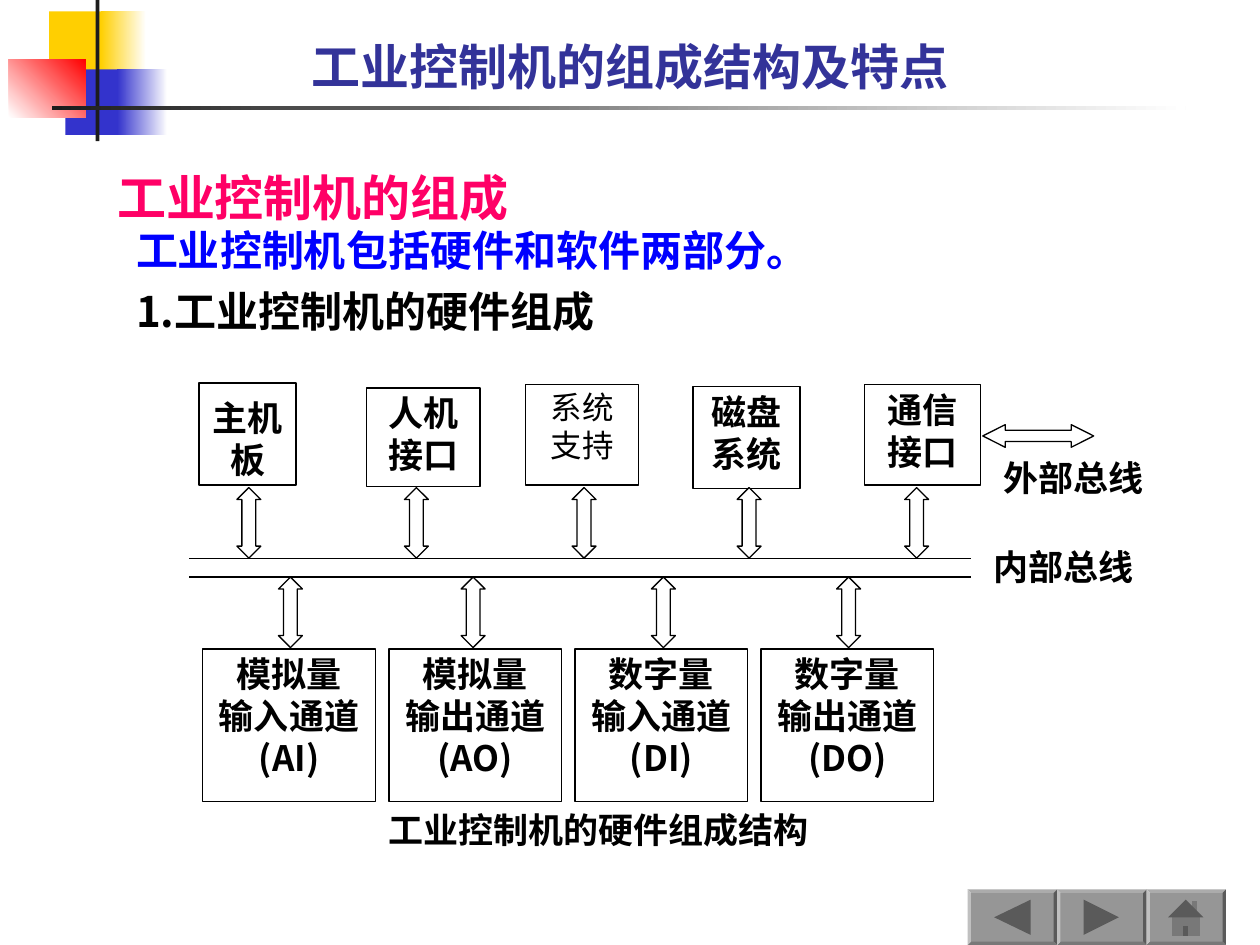
from dataclasses import dataclass

from lxml import etree
from pptx import Presentation
from pptx.dml.color import RGBColor
from pptx.enum.shapes import MSO_CONNECTOR as LINE, MSO_SHAPE as SHAPE
from pptx.enum.text import MSO_ANCHOR, PP_ALIGN as ALIGN
from pptx.oxml.ns import qn
from pptx.util import Inches, Pt


@dataclass(frozen=True)
class Theme:
    font: str = "Noto Sans CJK SC"
    plain_font: str = "Arial"
    ink: str = "000000"
    paper: str = "FFFFFF"
    heading: str = "333399"
    topic: str = "FF0066"
    lead: str = "0000FF"
    yellow: str = "FFCF01"
    blue: str = "3333CC"
    red: str = "FF0000"
    rule: str = "1C1C1C"
    button: str = "969696"
    icon: str = "5A5A5A"
    icon_light: str = "787878"
    title_size: float = 28
    body_size: float = 24
    label_size: float = 20
    plain_size: float = 18
    leading: float = 1.2
    line: float = 0.75


def write(tf, text, *, size, color, font, ea_font, leading, bold=True,
          align=ALIGN.CENTER, before=0, top=0.03):
    tf.word_wrap = True
    tf.vertical_anchor = MSO_ANCHOR.TOP
    tf.margin_left = tf.margin_right = tf.margin_bottom = 0
    tf.margin_top = Inches(top)
    for i, line in enumerate(text.split("\n")):
        p = tf.add_paragraph() if i else tf.paragraphs[0]
        p.alignment = align
        p.line_spacing = Pt(round(size * leading, 1))
        if i and before:
            p.space_before = Pt(before)
        r = p.add_run()
        r.text = line
        r.font.size = Pt(size)
        r.font.bold = bold
        r.font.name = font
        r.font.color.rgb = RGBColor.from_string(color)
        etree.SubElement(r.font._element, qn("a:ea")).set("typeface", ea_font)


class Deck:
    COLS, ROWS = 100, 75

    def __init__(self, theme):
        self.t = theme
        self.prs = Presentation()
        self.prs.slide_width, self.prs.slide_height = Inches(10), Inches(7.5)
        self.s = self.prs.slides.add_slide(self.prs.slide_layouts[6])

    def x(self, cols):
        return round(self.prs.slide_width * cols / self.COLS)

    def y(self, rows):
        return round(self.prs.slide_height * rows / self.ROWS)

    def area(self, x, y, w, h):
        return self.x(x), self.y(y), self.x(w), self.y(h)

    def paint(self, sp, fill, line=None):
        sp.shadow.inherit = False
        sp.fill.solid()
        sp.fill.fore_color.rgb = RGBColor.from_string(fill)
        if line:
            sp.line.color.rgb = RGBColor.from_string(line)
            sp.line.width = Pt(self.t.line)
        else:
            sp.line.fill.background()
        return sp

    def shape(self, kind, at, fill, line=None, adj=()):
        sp = self.s.shapes.add_shape(kind, *self.area(*at))
        for i, value in enumerate(adj):
            sp.adjustments[i] = value
        return self.paint(sp, fill, line)

    def fade(self, at, start, end, angle=0):
        sp = self.shape(SHAPE.RECTANGLE, at, start)
        sp.fill.gradient()
        sp.fill.gradient_angle = angle
        for stop, color in zip(sp.fill.gradient_stops, (start, end)):
            stop.color.rgb = RGBColor.from_string(color)

    def style(self, **changes):
        t = self.t
        return dict(size=t.label_size, color=t.ink, font=t.font,
                    ea_font=t.font, leading=t.leading) | changes

    def box(self, at, text, **fmt):
        sp = self.shape(SHAPE.RECTANGLE, at, self.t.paper, self.t.ink)
        write(sp.text_frame, text, **self.style(**fmt))

    def text(self, at, text, **fmt):
        sp = self.s.shapes.add_textbox(*self.area(*at))
        write(sp.text_frame, text, **self.style(**fmt))

    def arrow(self, kind, at, head):
        self.shape(kind, at, self.t.paper, self.t.ink, (0.5, head))

    def line(self, x1, y1, x2, y2):
        c = self.s.shapes.add_connector(
            LINE.STRAIGHT, self.x(x1), self.y(y1), self.x(x2), self.y(y2))
        c.line.color.rgb = RGBColor.from_string(self.t.ink)
        c.line.width = Pt(self.t.line)
        etree.SubElement(c._element.spPr, qn("a:effectLst"))

    def outline(self, points, fill):
        start, *rest = [(self.x(x), self.y(y)) for x, y in points]
        fb = self.s.shapes.build_freeform(*start)
        fb.add_line_segments(rest, close=True)
        self.paint(fb.convert_to_shape(), fill)

    def button(self, x, w):
        self.shape(SHAPE.BEVEL, (x, 70.6, w, 4.4), self.t.button, adj=(0.06,))


def decorate(d):
    t = d.t
    d.shape(SHAPE.RECTANGLE, (3.9, 0.9, 4.8, 5.2), t.yellow)
    d.fade((8, 0.9, 3.6, 5.2), t.yellow, t.paper)
    d.shape(SHAPE.RECTANGLE, (5.2, 5.5, 4.6, 5.2), t.blue)
    d.fade((9.3, 5.5, 4, 5.2), t.blue, t.paper)
    d.fade((0.7, 4.7, 6.1, 4.6), t.paper, t.red, angle=45)
    d.shape(SHAPE.RECTANGLE, (7.6, 0, 0.3, 11.2), t.rule)
    d.fade((4.1, 8.4, 90, 0.3), t.rule, t.paper)


def navigation(d):
    t = d.t
    for x, w in ((76.8, 7.1), (83.9, 7.1), (91, 6.3)):
        d.button(x, w)
    d.outline([(78.9, 72.8), (81.8, 71.4), (81.8, 74.2)], t.icon)
    d.outline([(86, 71.4), (88.8, 72.8), (86, 74.2)], t.icon)
    d.outline([(94.6, 71.5), (95, 71.5), (95, 72.8), (94.6, 72.8)], t.icon_light)
    d.outline([(93, 72.8), (95.2, 72.8), (95.2, 74.3), (93, 74.3)], t.icon_light)
    d.outline([(94.1, 71.4), (95.5, 72.8), (92.7, 72.8)], t.icon)
    d.outline([(93.9, 73.5), (94.3, 73.5), (94.3, 74.3), (93.9, 74.3)], t.icon)


def headings(d):
    t = d.t
    d.text((12.2, 2.6, 75.6, 5.2), "工业控制机的组成结构及特点",
           size=t.title_size, color=t.heading)
    d.text((9.3, 13, 80, 5), "工业控制机的组成",
           size=t.title_size, color=t.topic, align=ALIGN.LEFT)
    body = dict(size=t.body_size, align=ALIGN.LEFT)
    d.text((10.8, 17.5, 78, 4.5), "工业控制机包括硬件和软件两部分。",
           color=t.lead, **body)
    d.text((10.8, 22.33, 78, 4.5), "1.工业控制机的硬件组成", **body)


def diagram(d):
    t = d.t
    plain = dict(font=t.plain_font, size=t.plain_size, bold=False)
    modules = (
        ((15.8, 30.4, 7.7, 8.1), "主机板", dict(top=0.11)),
        ((29.1, 30.8, 9, 7.8), "人机\n接口", {}),
        ((41.7, 30.5, 9, 8), "系统\n支持", plain),
        ((55, 30.7, 8.5, 8.1), "磁盘\n系统", {}),
        ((68.6, 30.5, 9.2, 8), "通信\n接口", {}),
    )
    for at, name, fmt in modules:
        d.box(at, name, **fmt)

    upper = [(x, 38.7, 1.9, 5.6) for x in (18.8, 32.1, 45.4, 58.5, 71.8)]
    lower = [(x, 45.8, 1.9, 5.6) for x in (22.1, 36.6, 51.7, 66.4)]
    for at in upper + lower:
        d.arrow(SHAPE.UP_DOWN_ARROW, at, 0.58)
    d.arrow(SHAPE.LEFT_RIGHT_ARROW, (78, 33.7, 8.8, 1.8), 0.99)
    for y in (44.3, 45.8):
        d.line(15, y, 77.1, y)

    channels = ("模拟量\n输入通道\n(AI)", "模拟量\n输出通道\n(AO)",
                "数字量\n输入通道\n(DI)", "数字量\n输出通道\n(DO)")
    for i, name in enumerate(channels):
        d.box((16.1 + 14.77 * i, 51.5, 13.7, 12.1), name)

    d.text((77.9, 35.9, 14.6, 5.2), "外部总线")
    d.text((78.2, 43, 12.4, 5.8), "内部总线")
    d.text((13.2, 63.9, 68.6, 3.3), "工业控制机的硬件组成结构")


def main():
    d = Deck(Theme())
    decorate(d)
    navigation(d)
    headings(d)
    diagram(d)
    d.prs.save("out.pptx")


if __name__ == "__main__":
    main()
